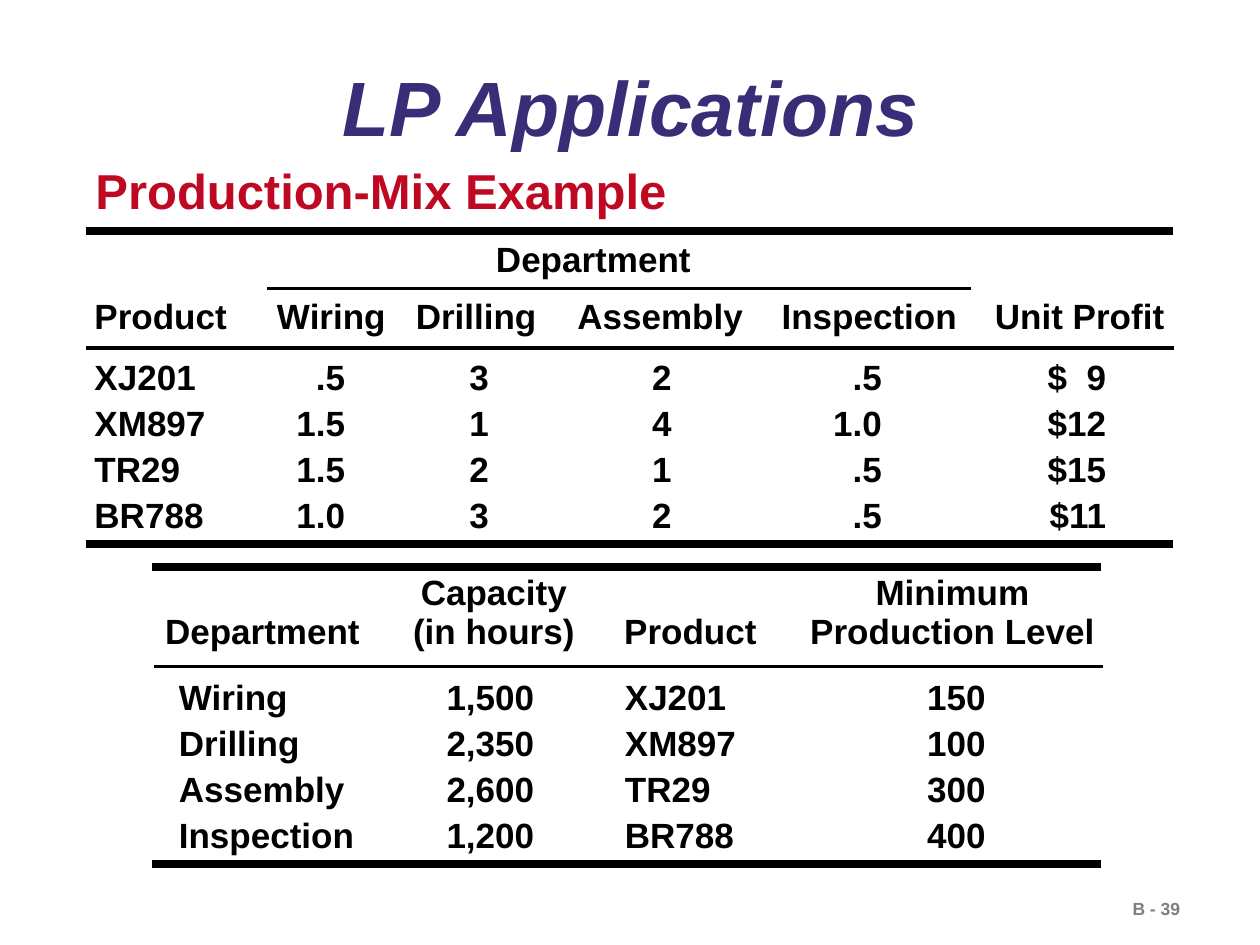
from dataclasses import dataclass

from lxml.etree import SubElement
from pptx import Presentation
from pptx.dml.color import RGBColor as RGB
from pptx.enum.shapes import MSO_CONNECTOR as Line
from pptx.enum.text import MSO_ANCHOR as Anchor, PP_ALIGN as Align
from pptx.oxml.ns import qn
from pptx.util import Inches, Pt


@dataclass
class Theme:
    font: str = "Arial"
    ink: RGB = RGB(0x00, 0x00, 0x00)
    title: RGB = RGB(0x3A, 0x2C, 0x76)
    accent: RGB = RGB(0xBF, 0x09, 0x22)
    muted: RGB = RGB(0x7F, 0x7F, 0x7F)
    big: int = 44
    head: int = 28
    body: int = 20
    small: int = 10
    thick: float = 4.5
    thin: float = 2.25


theme = Theme()
L, C, R = Align.LEFT, Align.CENTER, Align.RIGHT


def write(frame, text, size, color, align=L, space=1.0, italic=False):
    for i, part in enumerate(text.split("\n")):
        para = frame.paragraphs[0] if i == 0 else frame.add_paragraph()
        para.alignment, para.line_spacing = align, space
        run = para.add_run()
        run.text = part
        font = run.font
        font.name, font.size, font.bold, font.italic = theme.font, Pt(size), True, italic
        font.color.rgb = color


def fill(cell, text, align, left=0, right=0, bottom=0):
    cell.margin_left, cell.margin_right = Inches(left), Inches(right)
    cell.margin_top, cell.margin_bottom = 0, Inches(bottom)
    cell.vertical_anchor = Anchor.BOTTOM
    cell.fill.background()
    if text:
        write(cell.text_frame, text, theme.body, theme.ink, align)


deck = Presentation()
deck.slide_width, deck.slide_height = Inches(10), Inches(7.5)
slide = deck.slides.add_slide(deck.slide_layouts[5])
shapes = slide.shapes

# Title
title = shapes.title
title.left, title.top, title.width, title.height = map(Inches, (0.68, 0.35, 8.66, 1.07))
title.text_frame.vertical_anchor = Anchor.MIDDLE
write(title.text_frame, "LP Applications", theme.big, theme.title, C, 0.9, True)

# Subtitle and page number
for text, box, size, color, space, wrap in (
    ("Production-Mix Example", (0.66, 1.28, 4.87, 0.52), theme.head, theme.accent, 0.9, True),
    ("B - 39", (8.89, 7.08, 1.09, 0.27), theme.small, theme.muted, 1.0, False),
):
    frame = shapes.add_textbox(*map(Inches, box)).text_frame
    frame.word_wrap = wrap
    write(frame, text, size, color, L, space)

# Tables: heads are (row height, gap below, texts); body columns are
# (alignment, left margin, right margin)
step = 1.46 / 4
tables = [
    dict(
        left=0.68, top=1.83, widths=(1.44, 1.02, 1.28, 1.64, 1.68, 1.66), pad=0.07,
        heads=[
            (0.46, 0.07, ("", "Department", "", "", "", "")),
            (0.52, 0.14, ("Product", "Wiring", "Drilling", "Assembly", "Inspection",
                          "Unit Profit")),
        ],
        cols=((L, 0.07, 0), (R, 0, 0.4), (R, 0, 0.54), (R, 0, 0.73), (R, 0, 0.74),
              (R, 0, 0.62)),
        rows=[
            ("XJ201", ".5", "3", "2", ".5", "$  9"),
            ("XM897", "1.5", "1", "4", "1.0", "$12"),
            ("TR29", "1.5", "2", "1", ".5", "$15"),
            ("BR788", "1.0", "3", "2", ".5", "$11"),
        ],
    ),
    dict(
        left=1.21, top=4.5, widths=(1.91, 1.6, 1.52, 2.64), pad=0.1,
        heads=[
            (0.85, 0.18, ("Department", "Capacity\n(in hours)", "Product",
                          "Minimum\nProduction Level")),
        ],
        cols=((L, 0.21, 0), (R, 0, 0.48), (L, 0.24, 0), (L, 1.12, 0)),
        rows=[
            ("Wiring", "1,500", "XJ201", "150"),
            ("Drilling", "2,350", "XM897", "100"),
            ("Assembly", "2,600", "TR29", "300"),
            ("Inspection", "1,200", "BR788", "400"),
        ],
    ),
]
grids = []
for data in tables:
    heads, rows, widths = data["heads"], data["rows"], data["widths"]
    highs = [head[0] for head in heads] + [step] * len(rows)
    grid = shapes.add_table(
        len(highs), len(widths), Inches(data["left"]), Inches(data["top"]),
        Inches(sum(widths)), Inches(sum(highs)),
    ).table
    grid.first_row = grid.horz_banding = False
    for col, width in zip(grid.columns, widths):
        col.width = Inches(width)
    for row, high in zip(grid.rows, highs):
        row.height = Inches(high)
    for r, (high, gap, texts) in enumerate(heads):
        for c, text in enumerate(texts):
            fill(grid.cell(r, c), text, C if c else L, 0 if c else data["pad"], 0, gap)
    for r, texts in enumerate(rows, len(heads)):
        for c, (text, (align, left, right)) in enumerate(zip(texts, data["cols"])):
            fill(grid.cell(r, c), text, align, left, right, 0.02)
    grids.append(grid)

# Department heading spans the four department columns
span = grids[0].cell(0, 1)
span.merge(grids[0].cell(0, 4))
span.margin_right = Inches(0.44)

# Rules
for x1, x2, y, weight in (
    (0.68, 9.31, 1.83, theme.thick),
    (2.12, 7.71, 2.29, theme.thin),
    (0.68, 9.32, 2.76, theme.thin),
    (0.68, 9.31, 4.32, theme.thick),
    (1.21, 8.74, 4.5, theme.thick),
    (1.22, 8.75, 5.29, theme.thin),
    (1.21, 8.74, 6.86, theme.thick),
):
    rule = shapes.add_connector(Line.STRAIGHT, Inches(x1), Inches(y), Inches(x2), Inches(y))
    rule.line.color.rgb, rule.line.width = theme.ink, Pt(weight)
    SubElement(rule._element.spPr, qn("a:effectLst"))

deck.save("out.pptx")
